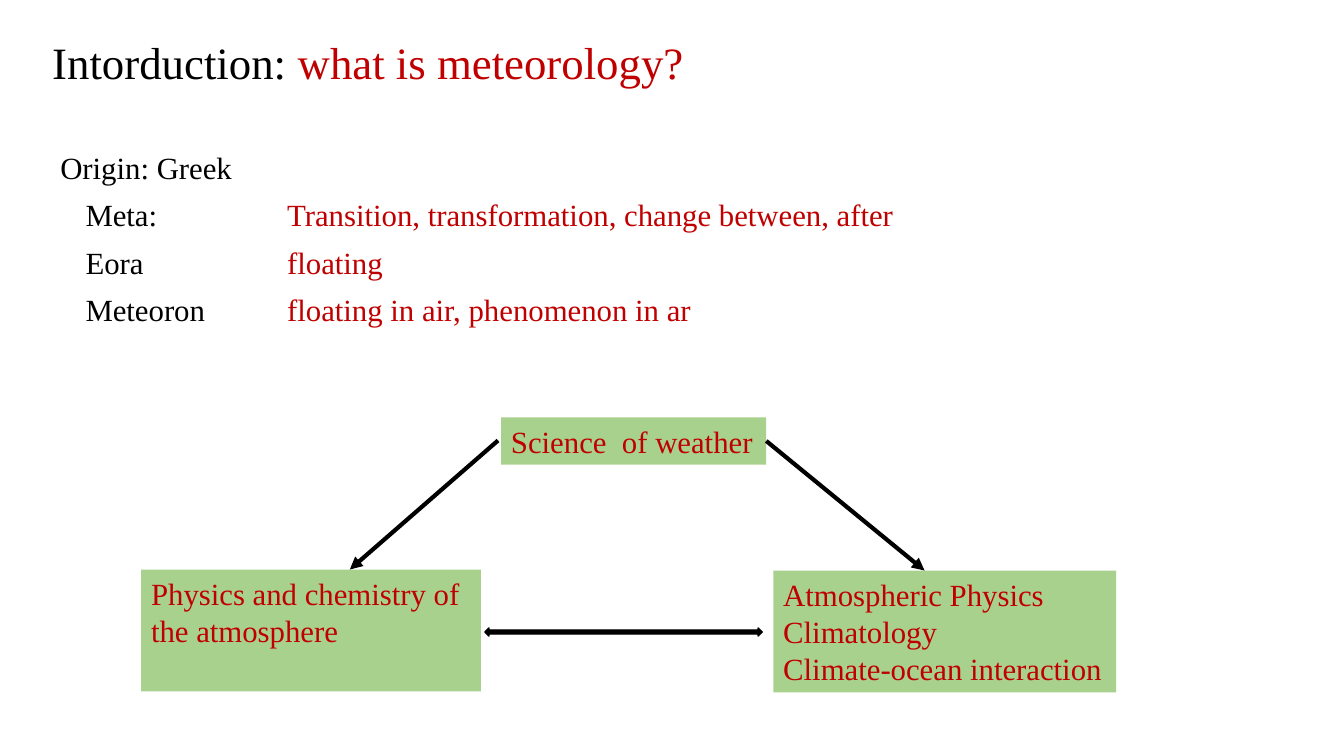
from dataclasses import dataclass

import pptx
import pptx.dml.color
import pptx.enum.shapes
import pptx.enum.text
import pptx.oxml.ns
import pptx.util
from lxml import etree

Inches = pptx.util.Inches
Pt = pptx.util.Pt
qn = pptx.oxml.ns.qn
FONT = "Times New Roman"
BLACK, RED, GREEN = "000000", "C00000", "A9D18E"


@dataclass
class Run:
    text: str
    color: str


@dataclass
class Topic:
    left: float
    top: float
    width: float
    height: float
    lines: list[str]


@dataclass
class Arrow:
    start: tuple[float, float]
    end: tuple[float, float]


TITLE = [Run("Intorduction: ", BLACK), Run("what is meteorology?", RED)]
ORIGINS = [
    [Run("Origin: Greek", BLACK)],
    [Run("\tMeta:\t", BLACK), Run("Transition, transformation, change between, after", RED)],
    [Run("\tEora\t", BLACK), Run("floating", RED)],
    [Run("\tMeteoron\t", BLACK), Run("floating in air, phenomenon in ar", RED)],
]
ORIGIN_TABS = (0.25, 2.25)
WEATHER = Topic(4.97, 4.14, 2.63, 0.47, ["Science  of weather"])
CHEMISTRY = Topic(1.4, 5.65, 3.37, 1.21, ["Physics and chemistry of", "the atmosphere"])
CLIMATE = Topic(7.67, 5.66, 3.4, 1.21,
                ["Atmospheric Physics", "Climatology", "Climate-ocean interaction"])
TO_CHEMISTRY = Arrow((4.94, 4.37), (3.47, 5.65))
TO_CLIMATE = Arrow((7.6, 4.38), (9.17, 5.66))


def rgb(color: str) -> pptx.dml.color.RGBColor:
    return pptx.dml.color.RGBColor.from_string(color)


def apply(target, values: dict) -> None:
    for name, value in values.items():
        setattr(target, name, value)


def write(frame, lines: list[list[Run]], size: int, spacing: dict,
          tabs: tuple[float, ...] = ()) -> None:
    for index, runs in enumerate(lines):
        paragraph = frame.paragraphs[0] if index == 0 else frame.add_paragraph()
        apply(paragraph, spacing | ({"space_before": Pt(0)} if index == 0 else {}))
        paragraph.alignment = pptx.enum.text.PP_ALIGN.LEFT
        if tabs:
            tab_list = etree.SubElement(paragraph._p.get_or_add_pPr(), qn("a:tabLst"))
            for tab in tabs:
                etree.SubElement(tab_list, qn("a:tab"), pos=str(Inches(tab)), algn="l")
        for part in runs:
            run = paragraph.add_run()
            run.text = part.text
            apply(run.font, {"name": FONT, "size": Pt(size)})
            run.font.color.rgb = rgb(part.color)


def add_text(slide, left: float, top: float, width: float, height: float):
    frame = slide.shapes.add_textbox(
        Inches(left), Inches(top), Inches(width), Inches(height)).text_frame
    frame.word_wrap = True
    return frame


def add_filled(slide, kind, left: float, top: float, width: float, height: float, color: str):
    shape = slide.shapes.add_shape(
        kind, Inches(left), Inches(top), Inches(width), Inches(height))
    shape.shadow.inherit = False
    shape.fill.solid()
    shape.fill.fore_color.rgb = rgb(color)
    return shape


def add_topic(slide, topic: Topic):
    shape = add_filled(slide, pptx.enum.shapes.MSO_SHAPE.RECTANGLE,
                       topic.left, topic.top, topic.width, topic.height, GREEN)
    shape.line.fill.background()
    apply(shape.text_frame, {
        "word_wrap": True,
        "margin_right": 0,
        "vertical_anchor": pptx.enum.text.MSO_ANCHOR.TOP,
    })
    write(shape.text_frame, [[Run(line, RED)] for line in topic.lines], 22, {})
    return shape


def add_arrow(slide, arrow: Arrow):
    connector = slide.shapes.add_connector(
        pptx.enum.shapes.MSO_CONNECTOR.STRAIGHT,
        *(Inches(value) for value in arrow.start + arrow.end))
    connector.line.width = Pt(3)
    connector.line.color.rgb = rgb(BLACK)
    etree.SubElement(connector.line._get_or_add_ln(), qn("a:tailEnd"), type="triangle")
    etree.SubElement(connector._element.spPr, qn("a:effectLst"))
    return connector


def main() -> None:
    presentation = pptx.Presentation()
    apply(presentation, {"slide_width": Inches(13.33), "slide_height": Inches(7.5)})
    slide = presentation.slides.add_slide(presentation.slide_layouts[6])

    title = add_text(slide, 0.42, 0.17, 12.23, 0.95)
    title.vertical_anchor = pptx.enum.text.MSO_ANCHOR.MIDDLE
    write(title, [TITLE], 32, {"line_spacing": 0.9})
    write(add_text(slide, 0.5, 1.47, 9, 2.36), ORIGINS, 22,
          {"line_spacing": 0.9, "space_before": Pt(10)}, ORIGIN_TABS)

    weather = add_topic(slide, WEATHER)
    add_topic(slide, CHEMISTRY)
    add_topic(slide, CLIMATE)
    add_arrow(slide, TO_CHEMISTRY)
    add_arrow(slide, TO_CLIMATE).begin_connect(weather, 3)

    exchange = add_filled(slide, pptx.enum.shapes.MSO_SHAPE.LEFT_RIGHT_ARROW,
                          4.81, 6.23, 2.75, 0.08, BLACK)
    exchange.line.color.rgb = rgb(BLACK)
    exchange.line.width = Pt(1)

    presentation.save("out.pptx")


if __name__ == "__main__":
    main()
